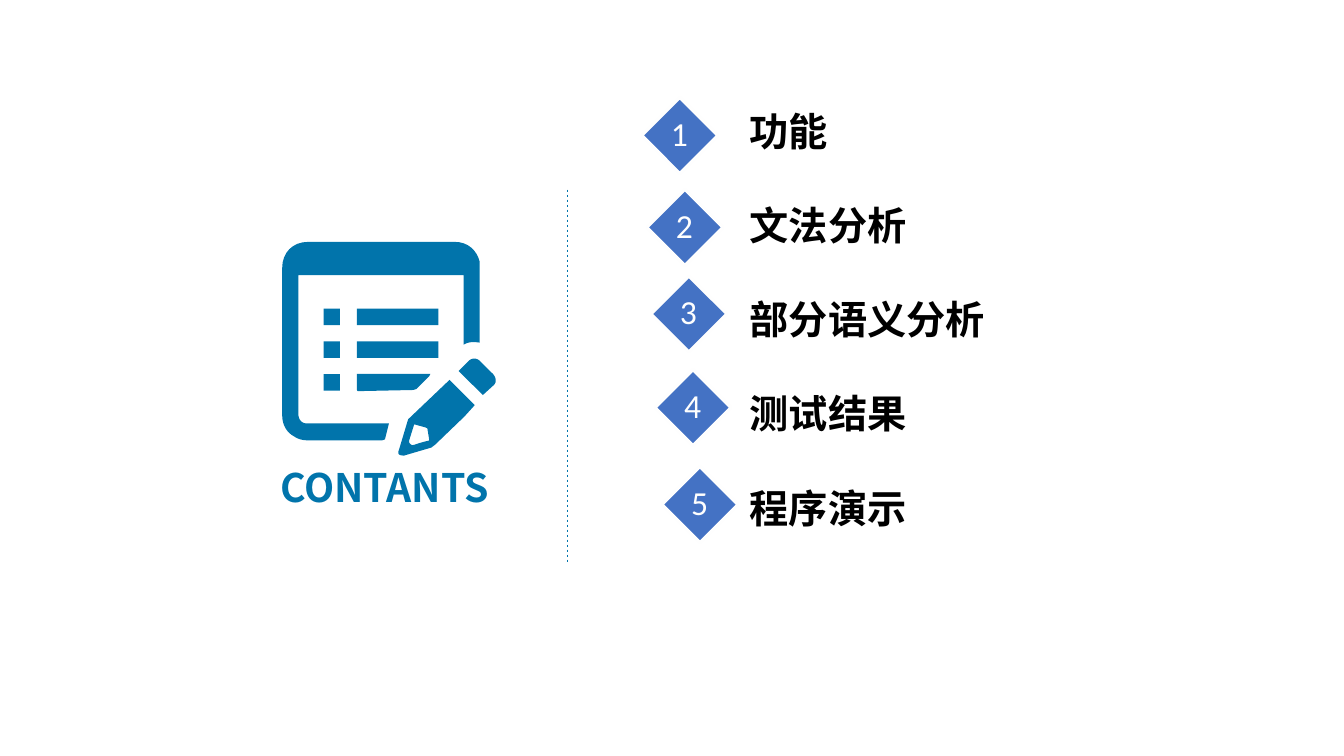
from lxml.etree import SubElement
from pptx import Presentation
from pptx.dml.color import RGBColor
from pptx.enum.dml import MSO_LINE
from pptx.enum.shapes import MSO_CONNECTOR, MSO_SHAPE
from pptx.enum.text import MSO_AUTO_SIZE, PP_ALIGN
from pptx.oxml.ns import qn
from pptx.util import Pt

BLUE, DIAMOND_BLUE, WHITE, BLACK = "0174AB", "4472C4", "FEFEFE", "000000"
HEADING_FONT = "Noto Sans CJK SC"
LINE_HEIGHT = 33.6
CURVE_STEPS = 8


def paint(color_format, color):
    """Give a fill, line or font the hex colour."""
    if hasattr(color_format, "solid"):
        color_format.solid()
        color_format = color_format.fore_color
    else:
        color_format = color_format.color
    color_format.rgb = RGBColor.from_string(color)


def add_text(parent, place, text, size, font, color, align, heading=True):
    """Add a text box; headings are bold, wrapped and set on a fixed line height."""
    box = parent.add_textbox(*[Pt(length) for length in place])
    frame = box.text_frame
    frame.word_wrap = heading
    frame.auto_size = MSO_AUTO_SIZE.SHAPE_TO_FIT_TEXT
    frame.text = text
    if heading:
        frame.margin_top = Pt(5.6)
        frame.margin_bottom = Pt(1.6)
    for para in frame.paragraphs:
        para.alignment = align
        if heading:
            para.line_spacing = Pt(LINE_HEIGHT)
        for span in para.runs:
            span.font.size = Pt(size)
            span.font.name = font
            span.font.bold = heading
            paint(span.font, color)
            east_asian = SubElement(span.font._element, qn("a:ea"))
            east_asian.set("typeface", font)
    return box


deck = Presentation()
deck.slide_width, deck.slide_height = Pt(960), Pt(540)
page = deck.slides.add_slide(deck.slide_layouts[6])

# Divider
divider = page.shapes.add_connector(
    MSO_CONNECTOR.STRAIGHT, Pt(405.4), Pt(135.4), Pt(405.4), Pt(402.5))
paint(divider.line, BLUE)
divider.line.width = Pt(0.5)
divider.line.dash_style = MSO_LINE.DASH
SubElement(divider._element.spPr, qn("a:effectLst"))

# Chapter titles
chapters = ["功能", "文法分析", "部分语义分析", "测试结果", "程序演示"]
titles = add_text(page.shapes, (528.5, 71.3, 280.8, 380.2), "\n".join(chapters),
                  28, HEADING_FONT, BLACK, PP_ALIGN.LEFT)
for para in titles.text_frame.paragraphs[1:]:
    para.space_before = Pt(LINE_HEIGHT)

# Icon outlines: two numbers are a line to a point, six are a Bézier curve
sheet = [
    (277.9, 302.4), (275, 313.9), (272.9, 314.6), (220.3, 314.6),
    (216.7, 314.6, 213.1, 313.9, 210.2, 311.8),
    (204.5, 308.9, 201.6, 303.1, 201.6, 296.6), (201.6, 191.5),
    (201.6, 180.7, 208.8, 172.8, 220.3, 172.8), (324.7, 172.8),
    (334.1, 172.8, 340.6, 178.6, 342.7, 187.2), (342.7, 244.8),
    (338.4, 244.1, 334.8, 244.1, 331.2, 246.2),
    (331.2, 196.6), (213.1, 196.6), (213.1, 295.2),
    (213.1, 299.5, 215.3, 303.1, 220.3, 302.4),
]
pencil_body = [
    (321.1, 271.4), (339.1, 289.4), (331.9, 297.4), (311, 317.5),
    (308.2, 319.7), (288.7, 325.4),
    (287.3, 325.4, 286.6, 325.4, 285.1, 324.7),
    (284.4, 324, 284.4, 322.6, 285.1, 321.1), (290.9, 301.7), (291.6, 299.5),
]
pencil_tip = [
    (295.9, 303.1), (292.3, 314.6), (292.3, 316.1),
    (293.8, 318.2, 294.5, 318.2, 296.6, 317.5),
    (301, 316.1), (306.7, 314.6), (305.3, 306), (303.8, 305.3),
]
eraser = [
    (327.6, 265), (334.8, 257.8),
    (337, 255.6, 340.6, 255.6, 342.7, 257.8), (352.1, 267.1),
    (354.2, 269.3, 355, 272.9, 352.8, 275), (344.9, 282.2),
]
cut_bar = [
    (254.9, 267.1), (307.4, 267.1), (306.7, 268.6), (297.4, 277.9),
    (295.2, 278.6), (255.6, 279.4), (254.9, 278.6),
]

icon = page.shapes.add_group_shape()
icon_parts = []
for contours in [[sheet], [pencil_body, pencil_tip], [eraser], [cut_bar]]:
    builder = None
    for contour in contours:
        points = [contour[0]]
        for step in contour[1:]:
            if len(step) == 2:
                points.append(step)
                continue
            corners = [points[-1], step[:2], step[2:4], step[4:]]
            for i in range(1, CURVE_STEPS + 1):
                t = i / CURVE_STEPS
                weights = [(1 - t) ** 3, 3 * t * (1 - t) ** 2, 3 * t * t * (1 - t), t ** 3]
                points.append(tuple(
                    sum(weight * corner[axis] for weight, corner in zip(weights, corners))
                    for axis in (0, 1)))
        points = [(Pt(x), Pt(y)) for x, y in points]
        if builder is None:
            builder = icon.shapes.build_freeform(*points[0])
        else:
            builder.move_to(*points[0])
        builder.add_line_segments(points[1:], close=True)
    icon_parts.append(builder.convert_to_shape())

bullet, bar = (231.1, 11.7), (254.9, 58.3)
for row, pieces in enumerate([[bullet, bar], [bullet, bar], [bullet]]):
    for left, width in pieces:
        icon_parts.append(icon.shapes.add_shape(
            MSO_SHAPE.RECTANGLE, Pt(left), Pt(220.5 + 23.4 * row), Pt(width), Pt(11.7)))
for part in icon_parts:
    part.shadow.inherit = False
    paint(part.fill, BLUE)
    part.line.fill.background()

add_text(page.shapes, (169.9, 325.4, 209.5, 40.8), "CONTANTS",
         28, HEADING_FONT, BLUE, PP_ALIGN.CENTER)

# Numbered diamonds
corners = [(458.6, 69.8), (462.2, 135.4), (465.1, 197.3), (468, 264.2), (473, 333.4)]
for number, (left, top) in enumerate(corners, start=1):
    badge = page.shapes.add_group_shape()
    diamond = badge.shapes.add_shape(MSO_SHAPE.DIAMOND, Pt(left), Pt(top), Pt(54), Pt(54))
    diamond.shadow.inherit = False
    paint(diamond.fill, DIAMOND_BLUE)
    paint(diamond.line, WHITE)
    diamond.line.width = Pt(2)
    add_text(badge.shapes, (left + 13.4, top + 7.2, 26.6, 36), str(number),
             24, "Calibri", WHITE, PP_ALIGN.CENTER, heading=False)

deck.save("out.pptx")
